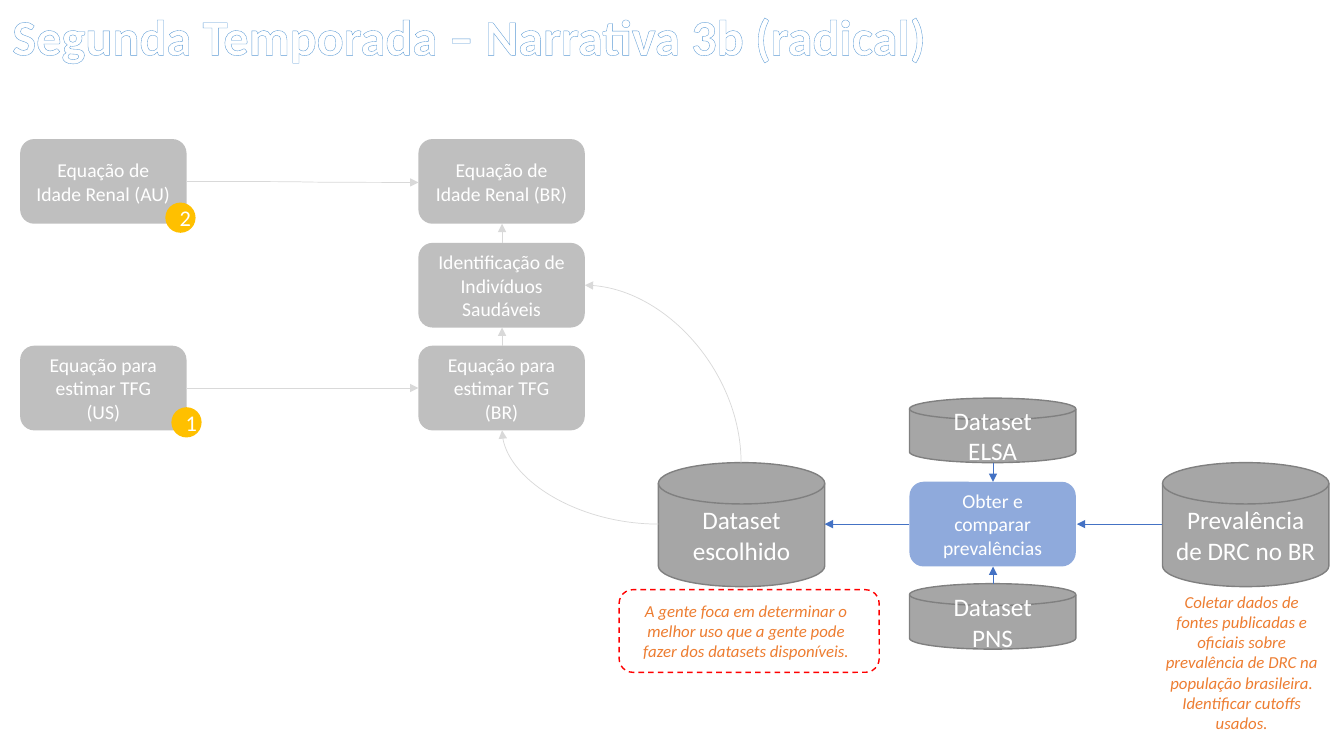
from lxml import etree
from pptx import Presentation
from pptx.dml.color import RGBColor
from pptx.enum.dml import MSO_LINE, MSO_PATTERN
from pptx.enum.shapes import MSO_CONNECTOR, MSO_SHAPE
from pptx.enum.text import MSO_ANCHOR, MSO_AUTO_SIZE, PP_ALIGN
from pptx.oxml.ns import qn
from pptx.util import Emu, Pt

ROUND, DISK, OVAL = MSO_SHAPE.ROUNDED_RECTANGLE, MSO_SHAPE.FLOWCHART_MAGNETIC_DISK, MSO_SHAPE.OVAL
CURVE = MSO_CONNECTOR.CURVE
DASH = MSO_LINE.DASH
STRIPES = MSO_PATTERN.LIGHT_DOWNWARD_DIAGONAL
CENTER, MIDDLE = PP_ALIGN.CENTER, MSO_ANCHOR.MIDDLE
GROW = MSO_AUTO_SIZE.SHAPE_TO_FIT_TEXT

GRAY, PALE, BLUE, ORANGE = "BFBFBF", "D9D9D9", "4472C4", "ED7D31"
BOX_W, BOX_H = 165, 84


def px(n):
    """100 px to the inch."""
    return Emu(round(n * 9144))


def rgb(value):
    return RGBColor.from_string(value)


def write(tf, text, size=14, color="FFFFFF", bold=False, italic=False, font="Calibri"):
    """Fill a text frame with one centred paragraph per line; return the runs."""
    runs = []
    for i, line in enumerate(text.split("\n")):
        p = tf.paragraphs[0] if i == 0 else tf.add_paragraph()
        p.alignment = CENTER
        r = p.add_run()
        r.text = line
        r.font.name, r.font.size = font, Pt(size)
        r.font.bold, r.font.italic = bold, italic
        r.font.color.rgb = rgb(color)
        runs.append(r)
    return runs


class Diagram:
    def __init__(self, slide):
        self.s = slide

    def shape(self, kind, x, y, w, h, fill=None, line=None, dash=None, text="", size=14):
        sp = self.s.shapes.add_shape(kind, px(x), px(y), px(w), px(h))
        sp.shadow.inherit = False
        if fill:
            sp.fill.solid()
            sp.fill.fore_color.rgb = rgb(fill)
        else:
            sp.fill.background()
        if line:
            sp.line.color.rgb = rgb(line)
            sp.line.width = Pt(1)
            sp.line.dash_style = dash
        else:
            sp.line.fill.background()
        if text:
            sp.text_frame.word_wrap = True
            sp.text_frame.vertical_anchor = MIDDLE
            write(sp.text_frame, text, size=size)

    def step(self, x, y, text, fill=GRAY):
        self.shape(ROUND, x, y, BOX_W, BOX_H, fill=fill, text=text)

    def dataset(self, x, y, h, text):
        self.shape(DISK, x, y, BOX_W, h, fill="A6A6A6", line="808080", text=text, size=18)

    def badge(self, x, y, text):
        self.shape(OVAL, x, y, 30, 30, fill="FFC000", text=text, size=16)

    def label(self, x, y, w, h, text, wrap=True, **style):
        tf = self.s.shapes.add_textbox(px(x), px(y), px(w), px(h)).text_frame
        tf.word_wrap = wrap
        tf.auto_size = GROW
        return write(tf, text, **style)

    def title(self, x, y, w, h, text):
        r = self.label(x, y, w, h, text, wrap=False, size=36, bold=True)[0]
        fill = r.font.fill
        fill.patterned()
        fill.pattern = STRIPES
        fill.fore_color.rgb, fill.back_color.rgb = rgb("9DC3E6"), rgb("FFFFFF")
        # Letter outline
        ln = etree.Element(qn("a:ln"), w=str(Pt(1)))
        solid = etree.SubElement(ln, qn("a:solidFill"))
        etree.SubElement(solid, qn("a:srgbClr"), val="5B9BD5")
        r.font._element.insert(0, ln)

    def arrow(self, x1, y1, x2, y2, color=PALE, upright=False, arc=False):
        """Curved arrow; an upright one leaves its start vertically."""
        if upright:  # lay the arrow flat about its centre, then turn it back
            cx, cy, dx, dy = (x1 + x2) / 2, (y1 + y2) / 2, x2 - x1, y2 - y1
            x1, y1, x2, y2 = cx + dy / 2, cy - dx / 2, cx - dy / 2, cy + dx / 2
        c = self.s.shapes.add_connector(CURVE, px(x1), px(y1), px(x2), px(y2))
        c.line.color.rgb = rgb(color)
        c.line.width = Pt(0.5)
        pr = c._element.spPr
        if upright:
            pr.find(qn("a:xfrm")).set("rot", str(270 * 60000))
        if arc:
            pr.find(qn("a:prstGeom")).set("prst", "curvedConnector2")
        etree.SubElement(pr.find(qn("a:ln")), qn("a:tailEnd"), type="triangle")
        etree.SubElement(pr, qn("a:effectLst"))


def main():
    prs = Presentation()
    prs.slide_width, prs.slide_height = px(1333), px(750)
    d = Diagram(prs.slides.add_slide(prs.slide_layouts[6]))

    d.title(0, 0, 931, 71, "Segunda Temporada – Narrativa 3b (radical)")

    # Prevalence sources and their comparison
    d.dataset(902, 395, 64, "Dataset\nELSA")
    d.dataset(902, 579, 65, "Dataset\nPNS")
    d.step(902, 478, "Obter e comparar prevalências", fill="8FAADC")
    d.dataset(1153, 459, 123, "Prevalência de DRC no BR")
    d.dataset(653, 459, 123, "Dataset\nescolhido")
    d.arrow(1153, 520, 1068, 520, BLUE)
    d.arrow(902, 520, 818, 520, BLUE)
    d.arrow(985, 459, 985, 478, BLUE, upright=True)
    d.arrow(985, 579, 985, 562, BLUE, upright=True)

    # Equations: foreign versions on the left, Brazilian chain on the right
    for x, y, text in [
        (415, 343, "Equação para estimar TFG\n(BR)"),
        (415, 241, "Identificação de Indivíduos Saudáveis"),
        (415, 138, "Equação de Idade Renal (BR)"),
        (20, 343, "Equação para estimar TFG\n(US)"),
        (20, 138, "Equação de Idade Renal (AU)"),
    ]:
        d.step(x, y, text)
    d.arrow(185, 385, 415, 385)
    d.arrow(185, 180, 415, 181)
    d.arrow(498, 343, 498, 325, upright=True)
    d.arrow(498, 241, 498, 222, upright=True)
    d.arrow(653, 520, 498, 427, arc=True)
    d.arrow(735, 459, 580, 283, upright=True, arc=True)
    d.badge(170, 404, "1")
    d.badge(164, 201, "2")

    # Remarks
    remark = dict(size=12, color=ORANGE, italic=True)
    d.label(614, 591, 252, 71, "A gente foca em determinar o melhor uso que a gente pode "
            "fazer dos datasets disponíveis.", **remark)
    d.shape(ROUND, 614, 585, 258, 82, line="FF0000", dash=DASH)
    d.label(1144, 582, 175, 151, "Coletar dados de fontes publicadas e oficiais sobre "
            "prevalência de DRC na população brasileira. Identificar cutoffs usados.", **remark)

    prs.save("out.pptx")


if __name__ == "__main__":
    main()
